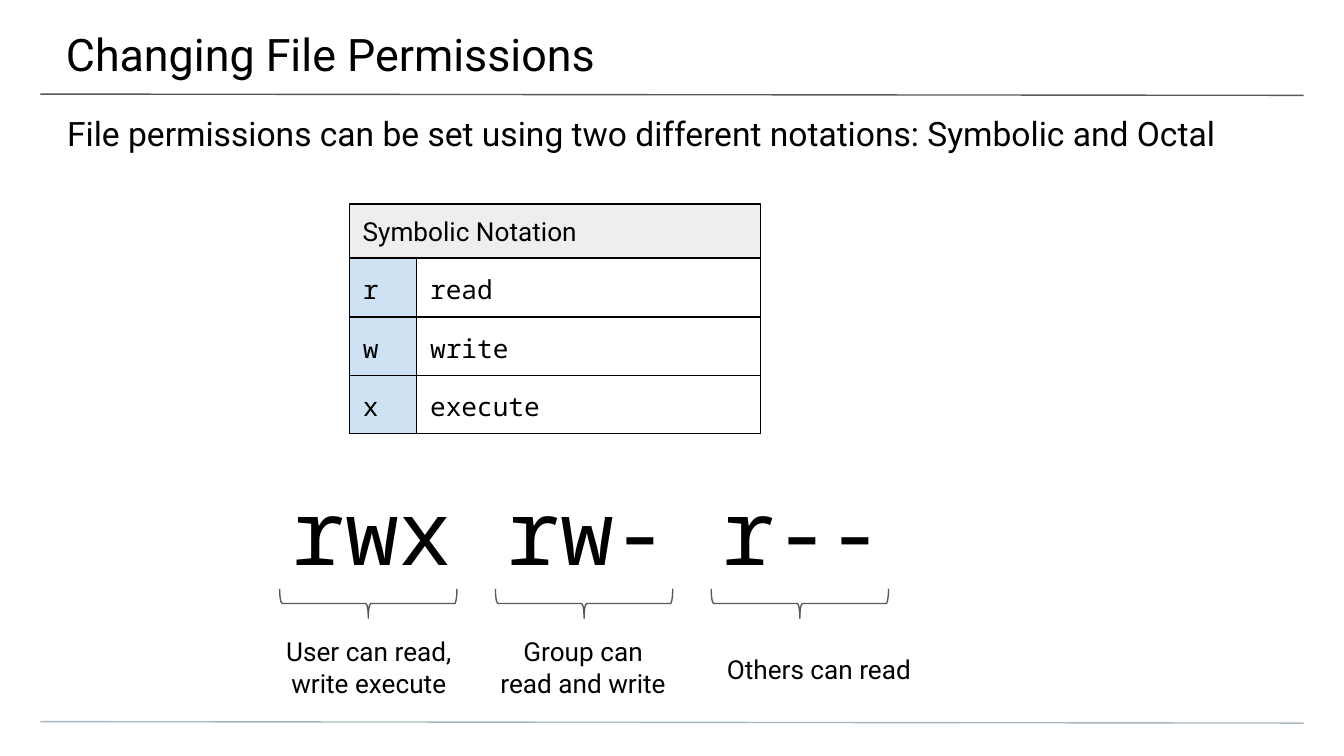
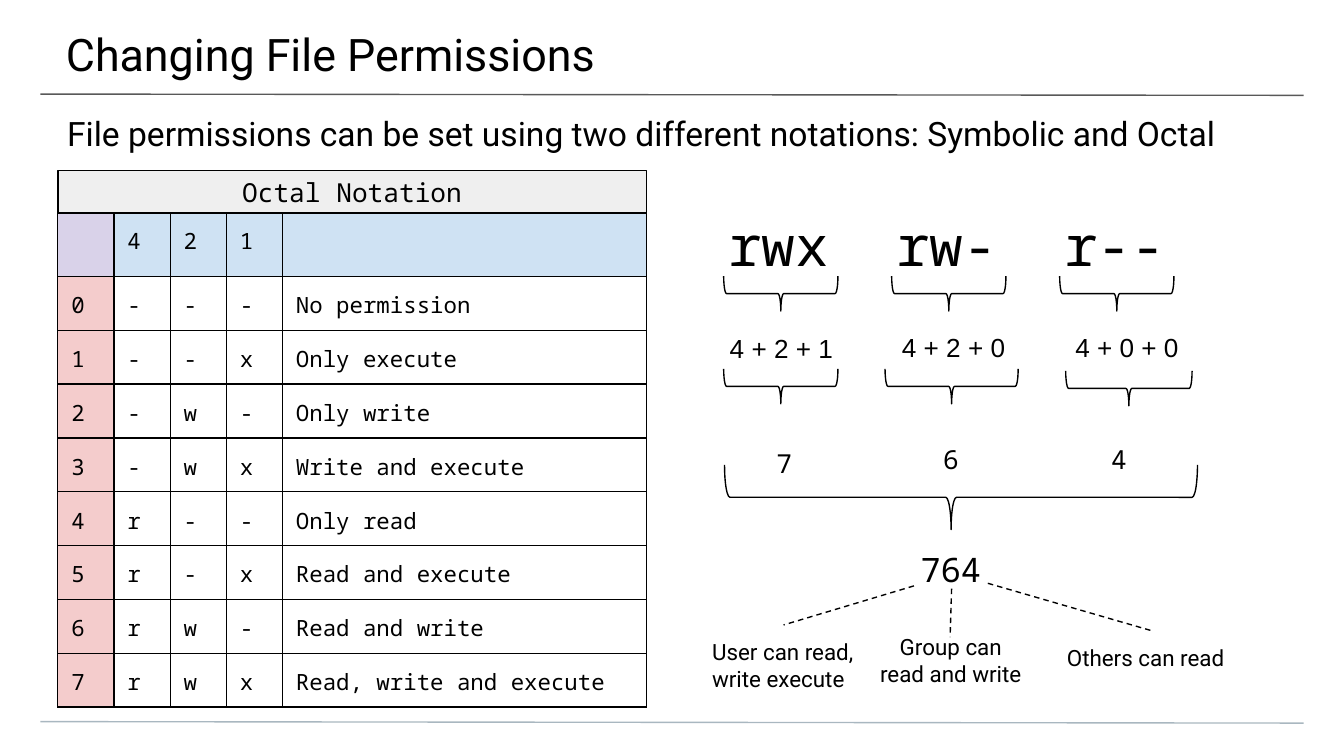
from lxml import etree
from pptx import Presentation
from pptx.dml.color import RGBColor
from pptx.enum.dml import MSO_LINE
from pptx.enum.shapes import MSO_CONNECTOR, MSO_SHAPE
from pptx.enum.text import MSO_ANCHOR, PP_ALIGN
from pptx.oxml.ns import qn
from pptx.util import Pt

# Colours
BLACK = RGBColor(0x00, 0x00, 0x00)
GREY = RGBColor(0x59, 0x59, 0x59)
FOOTER_GREY = RGBColor(0xA9, 0xB7, 0xC0)
SYMBOLIC_HEADING = RGBColor(0xEE, 0xEE, 0xEE)
OCTAL_HEADING = RGBColor(0xEF, 0xEF, 0xEF)
BLUE = RGBColor(0xCF, 0xE2, 0xF3)
PURPLE = RGBColor(0xD9, 0xD2, 0xE9)
PINK = RGBColor(0xF4, 0xCC, 0xCC)

# Fonts, enum members and shared measures
SANS, MONO, ARIAL = "Roboto", "Noto Sans Mono", "Arial"
LEFT, CENTER = PP_ALIGN.LEFT, PP_ALIGN.CENTER
TOP, MIDDLE = MSO_ANCHOR.TOP, MSO_ANCHOR.MIDDLE
RECTANGLE = MSO_SHAPE.RECTANGLE
LEFT_BRACE, RIGHT_BRACE = MSO_SHAPE.LEFT_BRACE, MSO_SHAPE.RIGHT_BRACE
STRAIGHT, DASH = MSO_CONNECTOR.STRAIGHT, MSO_LINE.DASH
INSET = 7.2
INSETS = (INSET,) * 4
LINE_WIDTH = 0.75

TITLE = "Changing File Permissions"
SUBTITLE = ("File permissions can be set using two different notations: "
            "Symbolic and Octal")
USER_TEXT = "User can read, write execute"
GROUP_TEXT = "Group can read and write"
OTHERS_TEXT = "Others can read"


def write_text(frame, text, size=14, font=SANS, align=LEFT, anchor=TOP,
               insets=INSETS, tabs=()):
    frame.word_wrap = True
    frame.vertical_anchor = anchor
    (frame.margin_left, frame.margin_top,
     frame.margin_right, frame.margin_bottom) = map(Pt, insets)
    paragraph = frame.paragraphs[0]
    paragraph.alignment = align
    if tabs:
        properties = paragraph._p.get_or_add_pPr()
        tab_list = etree.SubElement(properties, qn("a:tabLst"))
        for position in tabs:
            etree.SubElement(tab_list, qn("a:tab"),
                             pos=str(Pt(position)), algn="l")
    run = paragraph.add_run()
    run.text = text
    run.font.size = Pt(size)
    run.font.name = font
    run.font.color.rgb = BLACK


class Deck:
    """Holds the shared style and the current slide."""

    def __init__(self):
        self.presentation = Presentation()
        self.presentation.slide_width = Pt(720)
        self.presentation.slide_height = Pt(405)
        self.slide = None

    def new_slide(self):
        layout = self.presentation.slide_layouts[6]
        self.slide = self.presentation.slides.add_slide(layout)
        self.line(21.6, 50.4, 698.4, 51.1, GREY)
        self.line(21.6, 386.6, 698.4, 387.4, FOOTER_GREY)
        self.text(TITLE, -0.7, 0, 722, 41.8, size=24,
                  insets=(36, 14.4, 21.6, 7.2))
        self.text(SUBTITLE, 0, 53.3, 720, 28.8, size=18,
                  insets=(36, 7.2, 36, 0))

    def text(self, text, left, top, width, height, **style):
        box = self.slide.shapes.add_textbox(
            Pt(left), Pt(top), Pt(width), Pt(height))
        write_text(box.text_frame, text, **style)

    def line(self, x1, y1, x2, y2, color=BLACK, dash=None):
        connector = self.slide.shapes.add_connector(
            STRAIGHT, Pt(x1), Pt(y1), Pt(x2), Pt(y2))
        connector.line.color.rgb = color
        connector.line.width = Pt(LINE_WIDTH)
        if dash:
            connector.line.dash_style = dash
        etree.SubElement(connector._element.spPr, qn("a:effectLst"))

    def shape(self, preset, left, top, width, height, color=BLACK, fill=None):
        shape = self.slide.shapes.add_shape(
            preset, Pt(left), Pt(top), Pt(width), Pt(height))
        shape.shadow.inherit = False
        if fill:
            shape.fill.solid()
            shape.fill.fore_color.rgb = fill
        else:
            shape.fill.background()
        shape.line.color.rgb = color
        shape.line.width = Pt(LINE_WIDTH)
        return shape

    def heading(self, text, left, top, width, height, fill, **style):
        shape = self.shape(RECTANGLE, left, top, width, height, fill=fill)
        write_text(shape.text_frame, text, anchor=MIDDLE, **style)

    def brace(self, center_x, center_y, span, depth, color=BLACK,
              preset=LEFT_BRACE, rotation=270, tip=0.5):
        """Draw a brace that opens upwards, turned about its centre."""
        brace = self.shape(preset, center_x - depth / 2, center_y - span / 2,
                           depth, span, color=color)
        brace.rotation = rotation
        brace.adjustments[0] = 0.083
        brace.adjustments[1] = tip

    def table(self, left, top, widths, heights, rows, fill_at, size):
        table = self.slide.shapes.add_table(
            len(rows), len(widths), Pt(left), Pt(top),
            Pt(sum(widths)), Pt(sum(heights))).table
        table.first_row = table.horz_banding = False
        for column, width in zip(table.columns, widths):
            column.width = Pt(width)
        for row, height in zip(table.rows, heights):
            row.height = Pt(height)
        for i, texts in enumerate(rows):
            for j, text in enumerate(texts):
                self.cell(table.cell(i, j), text, fill_at(i, j), size)

    def cell(self, cell, text, fill, size):
        properties = cell._tc.get_or_add_tcPr()
        for side in ("a:lnL", "a:lnR", "a:lnT", "a:lnB"):
            border = etree.SubElement(properties, qn(side),
                                      w=str(Pt(LINE_WIDTH)))
            solid = etree.SubElement(border, qn("a:solidFill"))
            etree.SubElement(solid, qn("a:srgbClr"), val=str(BLACK))
        if fill:
            cell.fill.solid()
            cell.fill.fore_color.rgb = fill
        else:
            cell.fill.background()
        cell.margin_left = cell.margin_right = Pt(INSET)
        # Empty cells must not stretch their row
        cell.margin_top = cell.margin_bottom = Pt(INSET if text else 0)
        if text:
            paragraph = cell.text_frame.paragraphs[0]
            run = paragraph.add_run()
            run.text = text
            run.font.size = Pt(size)
            run.font.name = MONO
            run.font.color.rgb = BLACK


def symbolic_slide(deck):
    deck.new_slide()

    # Notation table
    rows = [("r", "read"), ("w", "write"), ("x", "execute")]
    deck.table(187.2, 138.2, [36, 184.3], [31.7, 30.2, 30.2], rows,
               lambda i, j: BLUE if j == 0 else None, size=14)
    deck.heading("Symbolic Notation", 187.2, 109.4, 220.3, 28.8,
                 SYMBOLIC_HEADING)

    # Permission string with a brace under each group
    deck.text("rwx rw- r--", 149, 247.7, 343.4, 51.1, size=48, font=MONO)
    for i in range(3):
        deck.brace(197.3 + 115.6 * i, 323.3, 95, 15.8, color=GREY)
    deck.text(USER_TEXT, 141.8, 333.4, 111.6, 51.1, align=CENTER)
    deck.text(GROUP_TEXT, 260.6, 333.4, 103.7, 51.1, align=CENTER)
    deck.text(OTHERS_TEXT, 382.3, 342.7, 115.2, 33.1)


def octal_fill(row, column):
    if row == 0:
        return BLUE if column else PURPLE
    return None if column else PINK


def octal_slide(deck):
    deck.new_slide()

    # Notation table: each digit spelled out as its three bits
    meanings = ["No permission", "Only execute", "Only write",
                "Write and execute", "Only read", "Read and execute",
                "Read and write", "Read, write and execute"]
    bits = [(4, "r"), (2, "w"), (1, "x")]
    rows = [("", "4", "2", "1", "")]
    for digit, meaning in enumerate(meanings):
        letters = [letter if digit & bit else "-" for bit, letter in bits]
        rows.append((str(digit), *letters, meaning))
    deck.table(31, 113.8, [30.1] * 4 + [195.1], [34.3] + [25.2] * 8, rows,
               octal_fill, size=12)
    deck.heading("Octal Notation", 31, 91.2, 315.4, 23, OCTAL_HEADING,
                 font=MONO, align=CENTER)

    # Permission string, sums and digits
    pitch = 90
    deck.text("rwx\trw-\tr--", 383, 105.8, 273.6, 51.1, size=30, font=MONO,
              tabs=(pitch, 2 * pitch))
    for i in range(3):
        deck.brace(418.3 + pitch * i, 157.3, 61.2, 18.7)
    sums = [("4 + 2 + 1", 379.4, 175, 78.5, 23),
            ("4 + 2 + 0", 471.6, 176.4, 78.5, 18.7),
            ("4 + 0 + 0", 568.1, 177.1, 71.3, 18)]
    for text, *place in sums:
        deck.text(text, *place, font=ARIAL, align=CENTER, anchor=MIDDLE)
    for center_x, center_y, span in [(418.3, 207, 61.2), (509.8, 207, 71.3),
                                     (604.8, 208.1, 67.7)]:
        deck.brace(center_x, center_y, span, 18.7)
    for digit, left, top in [("7", 389.5, 232.6), ("6", 478.8, 230.4),
                             ("4", 568.8, 230.4)]:
        deck.text(digit, left, top, 61.2, 33.1, font=MONO, align=CENTER)

    # Combined code and its meaning
    deck.brace(514.8, 266.4, 253.4, 34.6, preset=RIGHT_BRACE, rotation=90,
               tip=0.521)
    deck.text("764", 417.6, 286.6, 183.6, 23, size=18, font=MONO,
              align=CENTER)
    for ends in [(489.6, 313.9, 419.8, 334.8), (509.8, 315.4, 509, 341.3),
                 (529.2, 312.5, 616.3, 337.7)]:
        deck.line(*ends, dash=DASH)
    deck.text(USER_TEXT, 374.4, 334.8, 91.4, 38.2, size=12)
    deck.text(GROUP_TEXT, 463.7, 331.9, 91.4, 33.1, size=12, align=CENTER)
    deck.text(OTHERS_TEXT, 564.5, 337.7, 103.7, 28.8, size=12)


def main():
    deck = Deck()
    symbolic_slide(deck)
    octal_slide(deck)
    deck.presentation.save("out.pptx")


if __name__ == "__main__":
    main()
